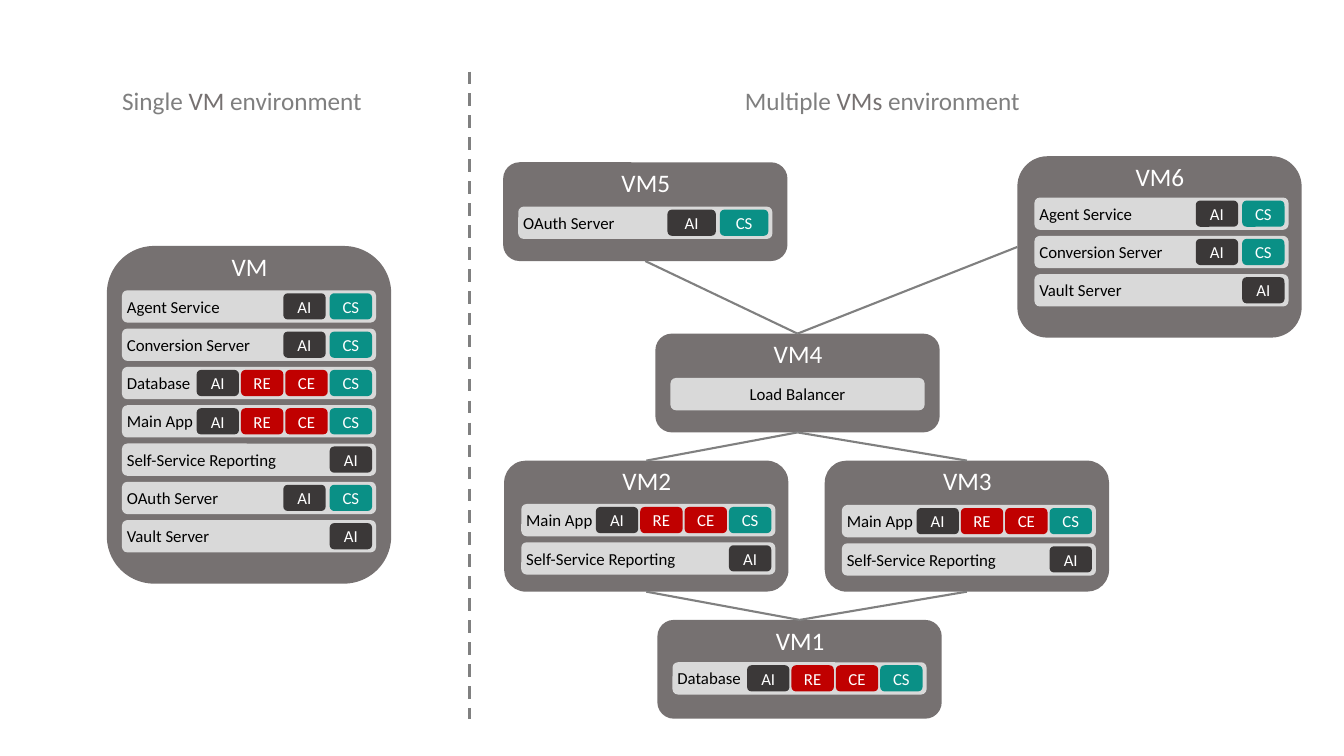
"""Build a slide comparing single-VM and multiple-VM server environments."""
from lxml import etree
from pptx import Presentation
from pptx.dml.color import RGBColor
from pptx.enum.dml import MSO_LINE
from pptx.enum.shapes import MSO_CONNECTOR, MSO_SHAPE
from pptx.enum.text import MSO_ANCHOR, MSO_AUTO_SIZE, PP_ALIGN
from pptx.oxml.ns import qn
from pptx.util import Pt

PX = 9144
ROUNDED = MSO_SHAPE.ROUNDED_RECTANGLE
STRAIGHT = MSO_CONNECTOR.STRAIGHT
DASH = MSO_LINE.DASH
MIDDLE, TOP_ANCHOR = MSO_ANCHOR.MIDDLE, MSO_ANCHOR.TOP
CENTER, LEFT_ALIGN = PP_ALIGN.CENTER, PP_ALIGN.LEFT
GROW = MSO_AUTO_SIZE.SHAPE_TO_FIT_TEXT
TOP, LEFT, BOTTOM = 0, 1, 2

COLORS = {
    "frame": "767171", "bar": "D9D9D9", "line": "808080", "heading": "7F7F7F",
    "white": "FFFFFF", "black": "000000",
    "AI": "3B3838", "RE": "C00000", "CE": "C00000", "CS": "0A9086",
}
FRAME_W, BAR_W, BAR_H, TAG_H = 282, 252, 32, 26
ROW_PITCH, TAGS_END = 38, 248

AGENT = ("Agent Service", ["AI", "CS"])
CONVERSION = ("Conversion Server", ["AI", "CS"])
DATABASE = ("Database", ["AI", "RE", "CE", "CS"])
MAIN_APP = ("Main App", ["AI", "RE", "CE", "CS"])
REPORTING = ("Self-Service Reporting", ["AI"])
OAUTH = ("OAuth Server", ["AI", "CS"])
VAULT = ("Vault Server", ["AI"])
BALANCER = ("Load Balancer", [])

MACHINES = [
    ("VM4", 650, 331, 98, 15, 44, 42, [BALANCER]),
    ("VM5", 499, 161, 98, 15, 44, 48, [OAUTH]),
    ("VM", 106, 244, 335, 15, 44, 42,
     [AGENT, CONVERSION, DATABASE, MAIN_APP, REPORTING, OAUTH, VAULT]),
    ("VM1", 652, 615, 98, 15, 42, 42, [DATABASE]),
    ("VM2", 500, 457, 130, 17, 43, 42, [MAIN_APP, REPORTING]),
    ("VM3", 818, 457, 130, 17, 44, 42, [MAIN_APP, REPORTING]),
    ("VM6", 1009, 155, 180, 17, 41, 42, [AGENT, CONVERSION, VAULT]),
]
LINKS = [
    ("VM3", TOP, "VM4", BOTTOM), ("VM2", TOP, "VM4", BOTTOM),
    ("VM2", BOTTOM, "VM1", TOP), ("VM3", BOTTOM, "VM1", TOP),
    ("VM4", TOP, "VM5", BOTTOM), ("VM4", TOP, "VM6", LEFT),
]
HEADINGS = [
    (103, 274, ["Single ", "VM", " environment"]),
    (714, 322, ["Multiple ", "VMs", " environment"]),
]


def add_block(shapes, x, y, w, h, color):
    block = shapes.add_shape(ROUNDED, x * PX, y * PX, w * PX, h * PX)
    block.shadow.inherit = False
    block.fill.solid()
    block.fill.fore_color.rgb = RGBColor.from_string(COLORS[color])
    block.line.fill.background()
    return block


def write(target, runs, size, align=CENTER, anchor=MIDDLE):
    frame = target.text_frame
    frame.word_wrap = True
    frame.vertical_anchor = anchor
    paragraph = frame.paragraphs[0]
    paragraph.alignment = align
    for words, color in runs:
        run = paragraph.add_run()
        run.text = words
        run.font.name = "Calibri"
        run.font.size = Pt(size)
        run.font.color.rgb = RGBColor.from_string(COLORS[color])


prs = Presentation()
prs.slide_width, prs.slide_height = 1333 * PX, 750 * PX
slide = prs.slides.add_slide(prs.slide_layouts[6])

divider = slide.shapes.add_connector(STRAIGHT, 466 * PX, 71 * PX, 466 * PX, 713 * PX)
divider.line.width = Pt(2.25)
divider.line.dash_style = DASH
lines = [divider]

for x, width, words in HEADINGS:
    heading = slide.shapes.add_textbox(x * PX, 80 * PX, width * PX, 40 * PX)
    write(heading, zip(words, ["heading", "frame", "heading"]), 18, anchor=TOP_ANCHOR)
    heading.text_frame.auto_size = GROW

machine_frames = {}
for name, x, y, height, bar_dx, bar_dy, tag_w, services in MACHINES:
    machine = slide.shapes.add_group_shape().shapes
    machine_frames[name] = add_block(machine, x, y, FRAME_W, height, "frame")
    title = machine.add_textbox((x + 67) * PX, y * PX, 149 * PX, 40 * PX)
    write(title, [(name, "white")], 18)
    title.text_frame.auto_size = GROW

    bar_x = x + bar_dx
    for row, (service, tags) in enumerate(services):
        bar_y = y + bar_dy + row * ROW_PITCH
        bar = add_block(machine, bar_x, bar_y, BAR_W, BAR_H, "bar")
        if not tags:
            write(bar, [(service, "black")], 12)
            continue
        label = machine.add_textbox((bar_x - 5) * PX, (bar_y + 1) * PX, 181 * PX, 30 * PX)
        write(label, [(service, "black")], 12, LEFT_ALIGN, TOP_ANCHOR)
        label.text_frame.auto_size = GROW
        tag_pitch = tag_w + (2 if len(tags) > 2 else 4)
        last_tag_x = bar_x + TAGS_END - tag_w
        for place, tag in enumerate(reversed(tags)):
            badge = add_block(machine, last_tag_x - place * tag_pitch, bar_y + 3,
                              tag_w, TAG_H, tag)
            write(badge, [(tag, "white")], 12)

for start, start_side, end, end_side in LINKS:
    link = slide.shapes.add_connector(STRAIGHT, 0, 0, 0, 0)
    link.begin_connect(machine_frames[start], start_side)
    link.end_connect(machine_frames[end], end_side)
    link.line.width = Pt(1.5)
    lines.append(link)

for line in lines:
    line.line.color.rgb = RGBColor.from_string(COLORS["line"])
    etree.SubElement(line._element.spPr, qn("a:effectLst"))

prs.save("out.pptx")
